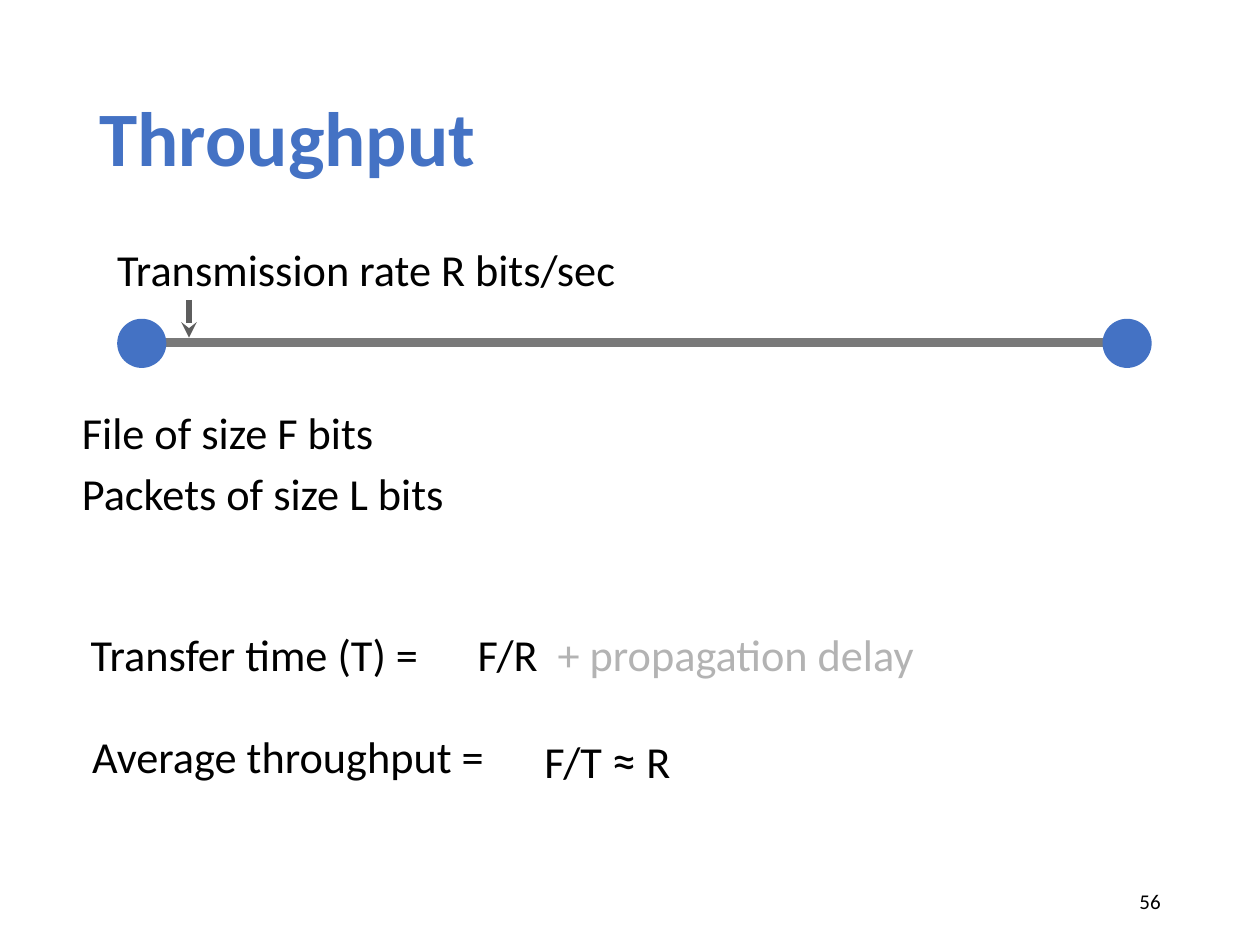
from pptx import Presentation
from pptx.dml.color import RGBColor
from pptx.enum.shapes import MSO_CONNECTOR, MSO_SHAPE
from pptx.enum.text import MSO_ANCHOR, PP_ALIGN
from pptx.oxml.ns import qn
from pptx.util import Inches, Pt
from lxml import etree

LINE = MSO_CONNECTOR.STRAIGHT
OVAL, RECT = MSO_SHAPE.OVAL, MSO_SHAPE.RECTANGLE
MIDDLE = MSO_ANCHOR.MIDDLE
LEFT, RIGHT = PP_ALIGN.LEFT, PP_ALIGN.RIGHT
BLUE, BLACK, WHITE = "4472C4", "000000", "FFFFFF"
LINK_GRAY, ARROW_GRAY = "797979", "5E5E5E"


def rgb(value):
    return RGBColor.from_string(value)


class Deck:
    font = "Calibri"
    body_size = 25.3

    def __init__(self, width, height):
        self.prs = Presentation()
        self.prs.slide_width, self.prs.slide_height = Inches(width), Inches(height)
        self.s = self.prs.slides.add_slide(self.prs.slide_layouts[5])

    def style(self, r, size, color=BLACK, bold=False):
        r.font.name, r.font.size, r.font.bold = self.font, Pt(size), bold
        r.font.color.rgb = rgb(color)

    def title(self, text, x, y, w, h):
        sp = self.s.shapes.title
        sp.left, sp.top, sp.width, sp.height = map(Inches, (x, y, w, h))
        tf = sp.text_frame
        tf.text = text
        tf.word_wrap, tf.vertical_anchor = True, MIDDLE
        p = tf.paragraphs[0]
        p.alignment, p.line_spacing = LEFT, 0.9
        self.style(p.runs[0], 44, BLUE, True)

    def text(self, runs, x, y, w, h=0.5, size=body_size, inset=0.04, align=LEFT):
        """runs is a string, or a list of (text, size) pairs."""
        tf = self.s.shapes.add_textbox(*map(Inches, (x, y, w, h))).text_frame
        tf.word_wrap, tf.vertical_anchor = True, MIDDLE
        tf.margin_left = tf.margin_right = Inches(inset)
        tf.margin_top = tf.margin_bottom = Inches(0.04)
        p = tf.paragraphs[0]
        p.alignment = align
        for words, points in [(runs, size)] if isinstance(runs, str) else runs:
            r = p.add_run()
            r.text = words
            self.style(r, points)

    def shape(self, kind, x, y, w, h, color, opacity=100):
        sp = self.s.shapes.add_shape(kind, *map(Inches, (x, y, w, h)))
        sp.shadow.inherit = False
        sp.fill.solid()
        sp.fill.fore_color.rgb = rgb(color)
        sp.line.fill.background()
        if opacity < 100:
            clr = sp._element.spPr.find(qn("a:solidFill"))[0]
            etree.SubElement(clr, qn("a:alpha")).set("val", str(opacity * 1000))

    def line(self, x1, y1, x2, y2, color, width, arrow=False):
        c = self.s.shapes.add_connector(LINE, *map(Inches, (x1, y1, x2, y2)))
        c.line.color.rgb, c.line.width = rgb(color), Pt(width)
        if arrow:
            tail = etree.SubElement(c.line._get_or_add_ln(), qn("a:tailEnd"))
            tail.set("type", "stealth")
        etree.SubElement(c._element.spPr, qn("a:effectLst"))


deck = Deck(10, 7.5)
deck.title("Throughput", 0.69, 0.4, 8.62, 1.45)

# Transfer time, with the propagation term faded by a veil
deck.text("F/R  + propagation delay", 3.75, 4.94, 4.48)
deck.shape(RECT, 4.37, 4.71, 3.26, 0.98, WHITE, opacity=70)

# Link between two nodes
deck.line(1.18, 2.72, 8.98, 2.72, LINK_GRAY, 5)
for x in (0.93, 8.75):
    deck.shape(OVAL, x, 2.53, 0.39, 0.39, BLUE)
deck.line(1.5, 2.38, 1.5, 2.68, ARROW_GRAY, 3, arrow=True)

# Labels
for label, x, y, w in (
    ("Transmission rate R bits/sec", 0.89, 1.88, 5.44),
    ("File of size F bits", 0.61, 3.18, 3.34),
    ("Packets of size L bits", 0.61, 3.66, 3.73),
    ("Transfer time (T) =", 0.68, 4.94, 2.99),
    ("Average throughput = ", 0.69, 5.75, 4.89),
):
    deck.text(label, x, y, w)

# Average throughput formula
deck.text([("F/T ", deck.body_size), ("≈", 28), (" R", deck.body_size)],
          4.28, 5.75, 2.01, 0.55)

# Slide number
deck.text("56", 7.06, 6.95, 2.25, 0.4, size=12, inset=0.1, align=RIGHT)

deck.prs.save("out.pptx")
